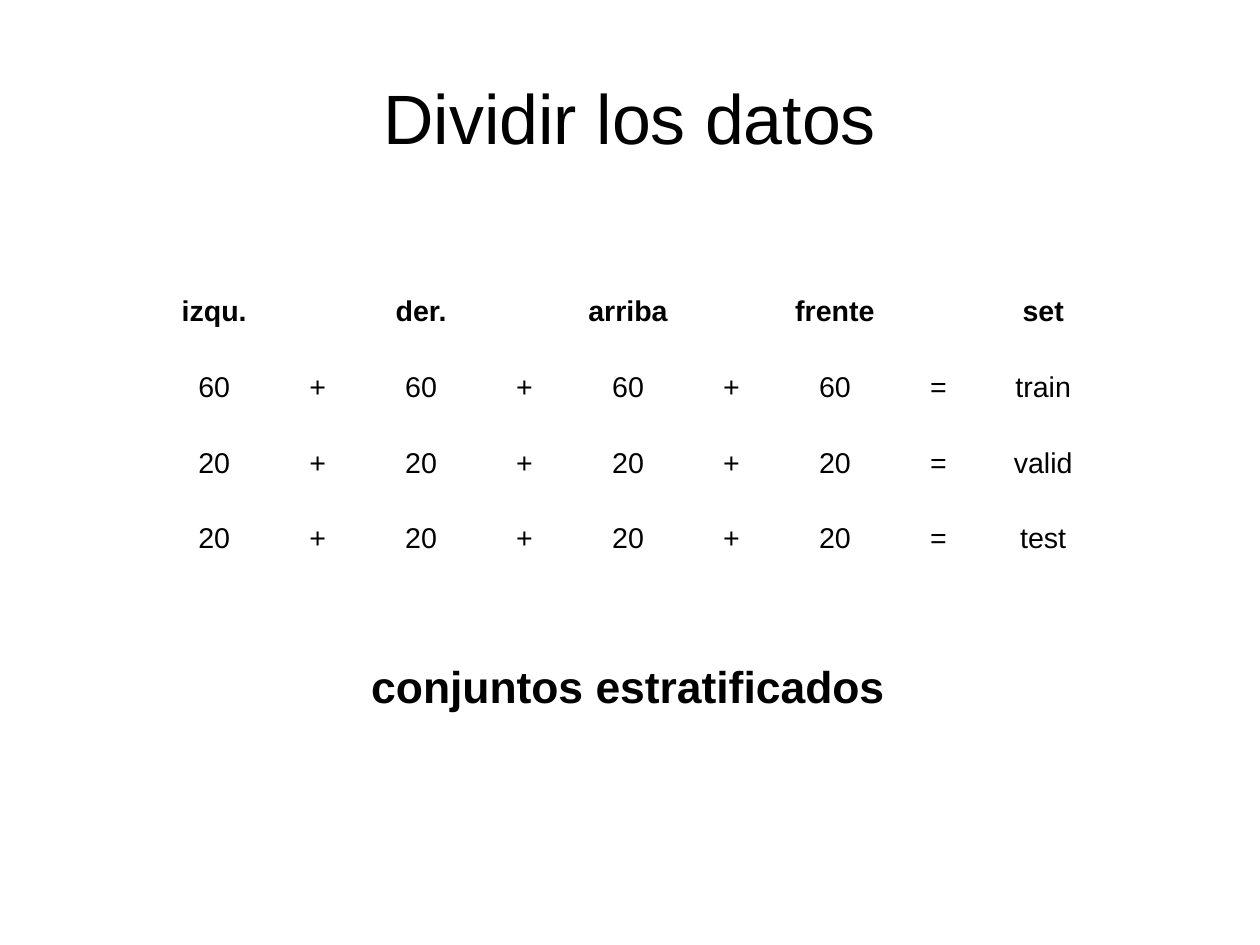
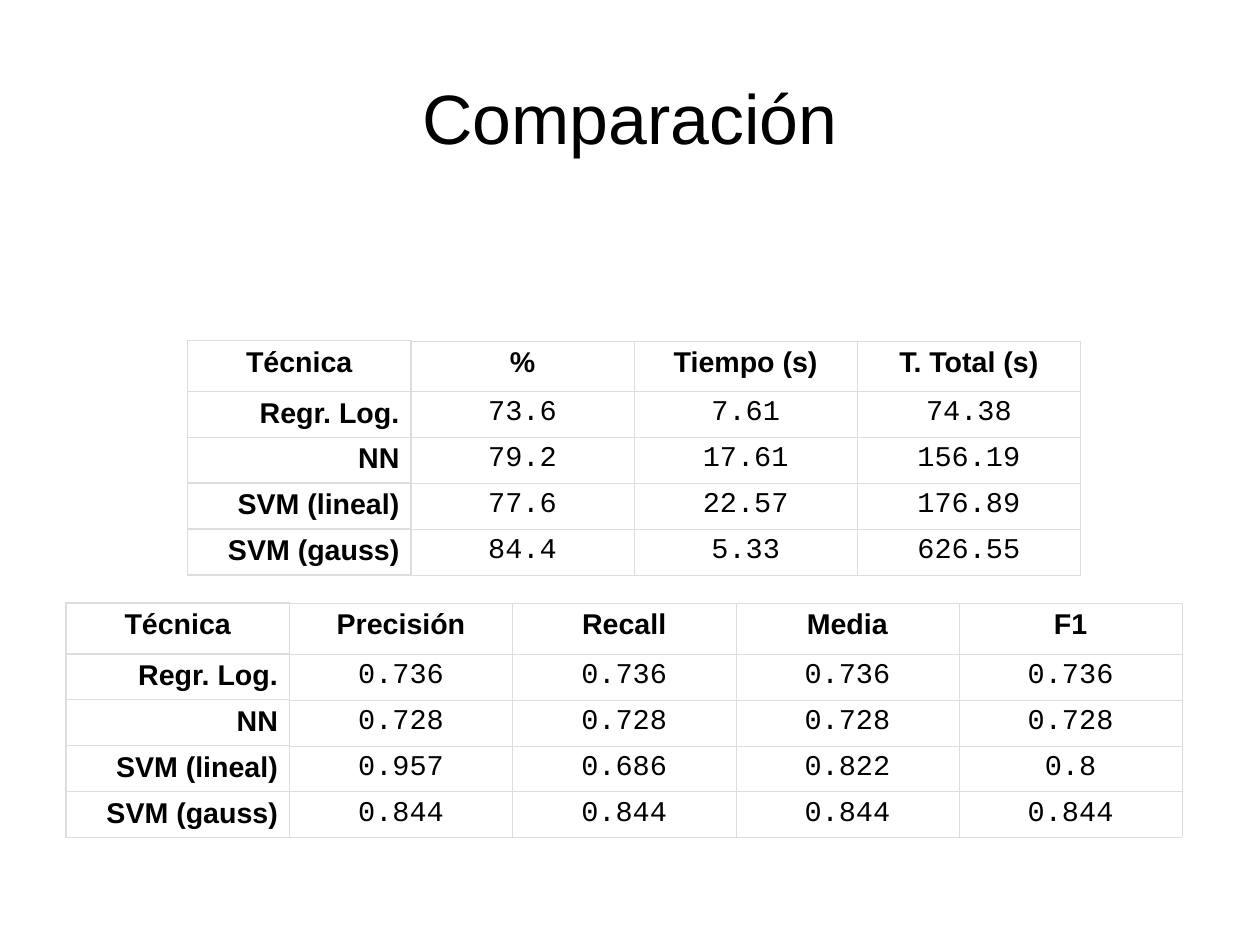
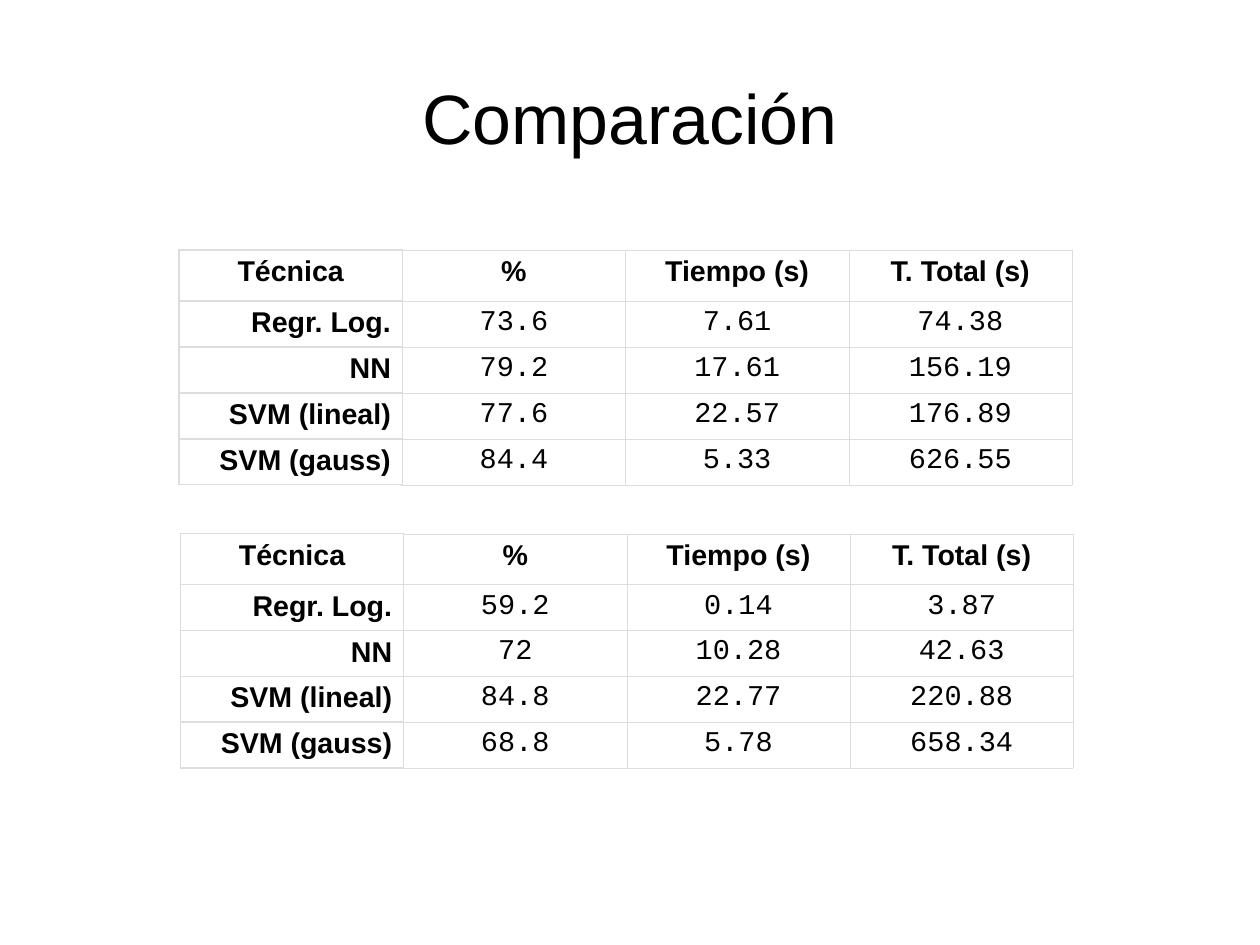
from dataclasses import dataclass

from lxml.etree import SubElement
from pptx import Presentation
from pptx.dml.color import RGBColor as RGB
from pptx.enum.text import MSO_ANCHOR as Anchor, MSO_AUTO_SIZE as Fit, PP_ALIGN as Align
from pptx.oxml.ns import qn
from pptx.util import Cm, Pt


@dataclass(frozen=True)
class Theme:
    ink: str = "000000"
    paper: str = "FFFFFF"
    rule: str = "DDDDDD"
    sans: str = "Arial"
    mono: str = "Courier New"
    head: int = 44
    lead: int = 28
    body: int = 18
    thin: float = 0.06
    thick: float = 1.13


T = Theme()
TECHS = ["Regr. Log.", "NN", "SVM (lineal)", "SVM (gauss)"]
TIMES = ["%", "Tiempo (s)", "T. Total (s)"]
SCORES = ["Precisión", "Recall", "Media", "F1"]
FULL = [
    ["73.6", "7.61", "74.38"],
    ["79.2", "17.61", "156.19"],
    ["77.6", "22.57", "176.89"],
    ["84.4", "5.33", "626.55"],
]
SMALL = [
    ["59.2", "0.14", "3.87"],
    ["72", "10.28", "42.63"],
    ["84.8", "22.77", "220.88"],
    ["68.8", "5.78", "658.34"],
]
RATES = [
    ["0.736"] * 4,
    ["0.728"] * 4,
    ["0.957", "0.686", "0.822", "0.8"],
    ["0.844"] * 4,
]


def write(frame, text, size, bold=False, font=T.sans, align=Align.CENTER):
    para = frame.paragraphs[0]
    para.alignment = align
    run = para.add_run()
    run.text = text
    run.font.size = Pt(size)
    run.font.bold = bold
    run.font.name = font
    run.font.color.rgb = RGB.from_string(T.ink)


def new_slide(deck, text):
    """Add a slide with the shared title style."""
    slide = deck.slides.add_slide(deck.slide_layouts[5])
    title = slide.shapes.title
    title.left, title.top = Cm(1.4), Cm(0.84)
    title.width, title.height = Cm(25.2), Cm(3.5)
    frame = title.text_frame
    frame.margin_left = frame.margin_right = 0
    frame.margin_top = frame.margin_bottom = 0
    frame.vertical_anchor = Anchor.MIDDLE
    frame.auto_size = Fit.NONE
    write(frame, text, T.head)
    return slide


def edge(cell, color, widths):
    """Draw the left, right, top and bottom borders, in that order."""
    props = cell._tc.get_or_add_tcPr()
    for side, width in zip("LRTB", widths):
        line = SubElement(props, qn(f"a:ln{side}"), w=str(int(Pt(width))))
        fill = SubElement(line, qn("a:solidFill"))
        SubElement(fill, qn("a:srgbClr"), val=color)


def add_grid(slide, left, top, cols, rows):
    """Add a plain table; cols and rows hold sizes in cm."""
    frame = slide.shapes.add_table(
        len(rows), len(cols), Cm(left), Cm(top), Cm(sum(cols)), Cm(sum(rows)))
    table = frame.table
    table.first_row = table.horz_banding = False
    for col, width in zip(table.columns, cols):
        col.width = Cm(width)
    for row, height in zip(table.rows, rows):
        row.height = Cm(height)
    return table


def paint(cell):
    cell.fill.solid()
    cell.fill.fore_color.rgb = RGB.from_string(T.paper)


def add_split(slide):
    """Show the sums of samples that make up each set."""
    heads = ["izqu.", "", "der.", "", "arriba", "", "frente", "", "set"]
    sets = [("60", "train"), ("20", "valid"), ("20", "test")]
    lines = [heads] + [[n, "+"] * 3 + [n, "=", name] for n, name in sets]
    table = add_grid(slide, 3.61, 6.45, [2.3] * 8 + [2.36], [1.68] * 3 + [1])
    for r, line in enumerate(lines):
        for c, text in enumerate(line):
            cell = table.cell(r, c)
            edge(cell, T.paper, [T.thin] * 4)
            paint(cell)
            if text:
                write(cell.text_frame, text, T.body, bold=r == 0)


def add_results(slide, left, top, heads, data):
    """Compare the techniques, one per row."""
    lines = [["Técnica"] + heads]
    lines += [[tech] + vals for tech, vals in zip(TECHS, data)]
    table = add_grid(slide, left, top, [4.96] * len(lines[0]), [1.13] + [1.02] * len(data))
    for r, line in enumerate(lines):
        for c, text in enumerate(line):
            cell = table.cell(r, c)
            rest = T.thick if c == 0 else T.thin
            edge(cell, T.rule, [T.thick if c < 2 else T.thin] + [rest] * 3)
            paint(cell)
            label = r == 0 or c == 0
            write(cell.text_frame, text, T.body, bold=label,
                  font=T.sans if label else T.mono,
                  align=Align.RIGHT if r and c == 0 else Align.CENTER)


def add_caption(slide, text):
    box = slide.shapes.add_textbox(Cm(8), Cm(14.53), Cm(12.07), Cm(1.35))
    box.text_frame.word_wrap = True
    write(box.text_frame, text, T.lead, bold=True, align=Align.LEFT)


def main():
    deck = Presentation()
    deck.slide_width, deck.slide_height = Cm(28), Cm(21)

    slide = new_slide(deck, "Dividir los datos")
    add_split(slide)
    add_caption(slide, "conjuntos estratificados")

    slide = new_slide(deck, "Comparación")
    add_results(slide, 4.17, 7.57, TIMES, FULL)
    add_results(slide, 1.47, 13.4, SCORES, RATES)

    slide = new_slide(deck, "Comparación")
    add_results(slide, 3.98, 5.56, TIMES, FULL)
    add_results(slide, 4.01, 11.86, TIMES, SMALL)

    deck.save("out.pptx")


if __name__ == "__main__":
    main()
